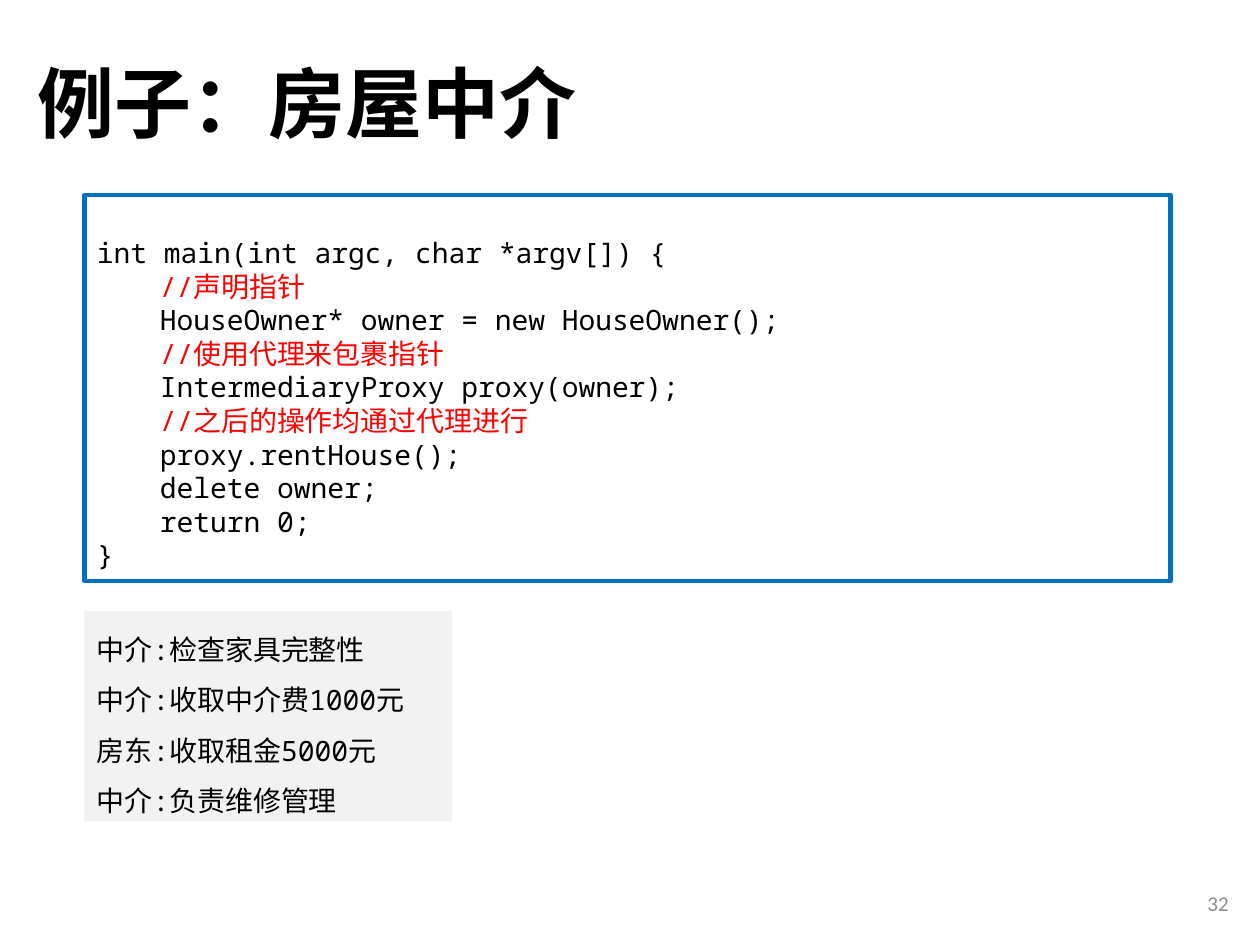
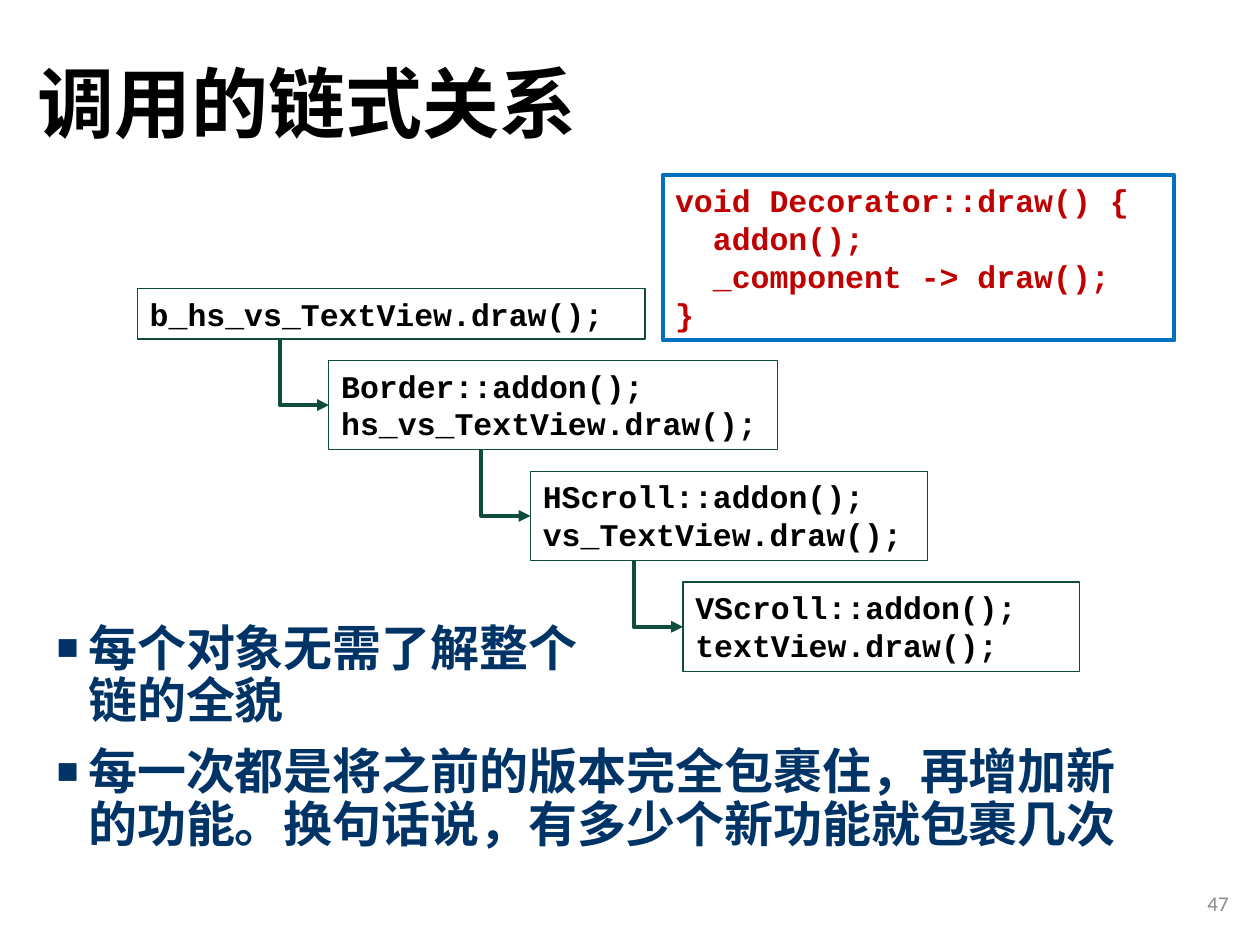
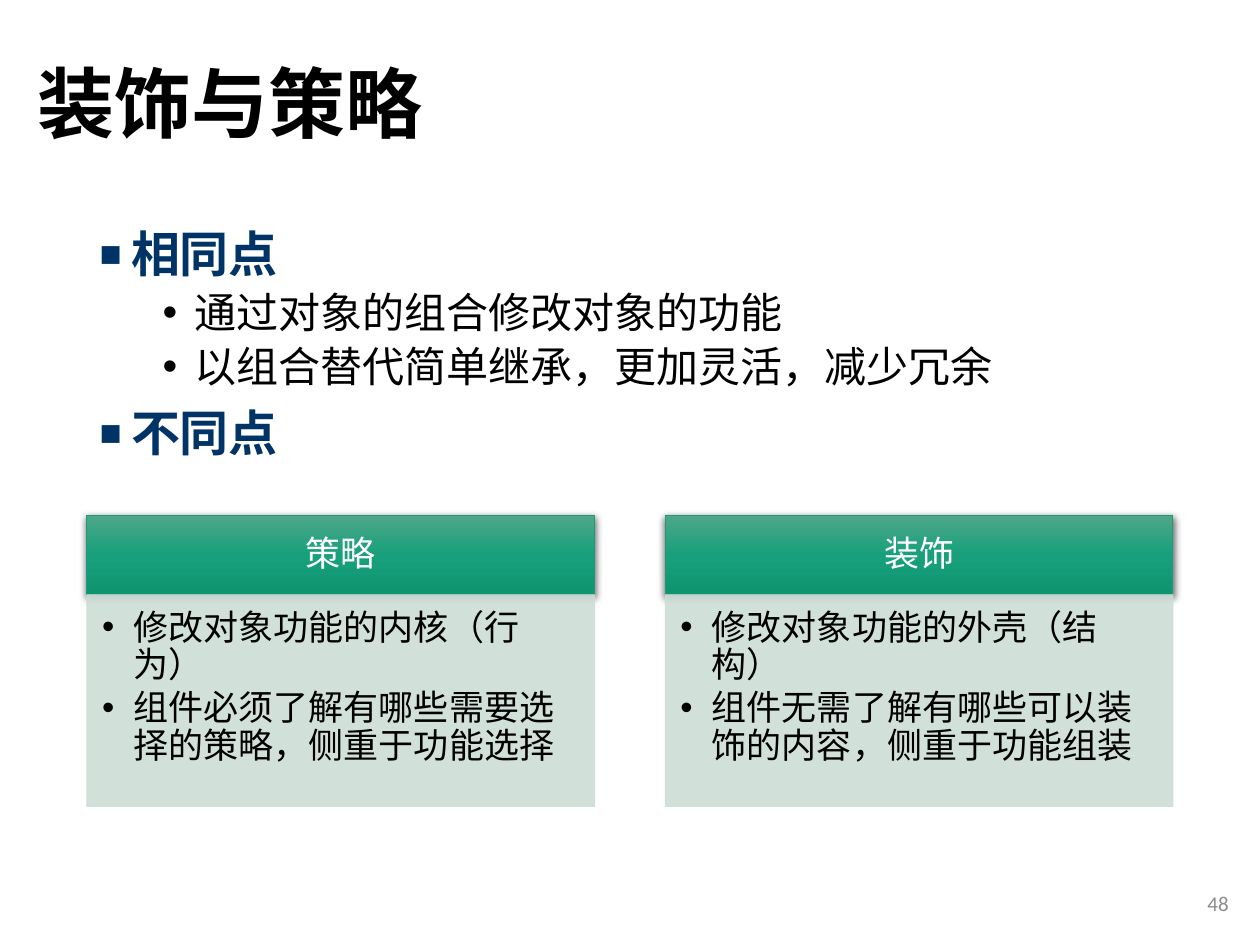
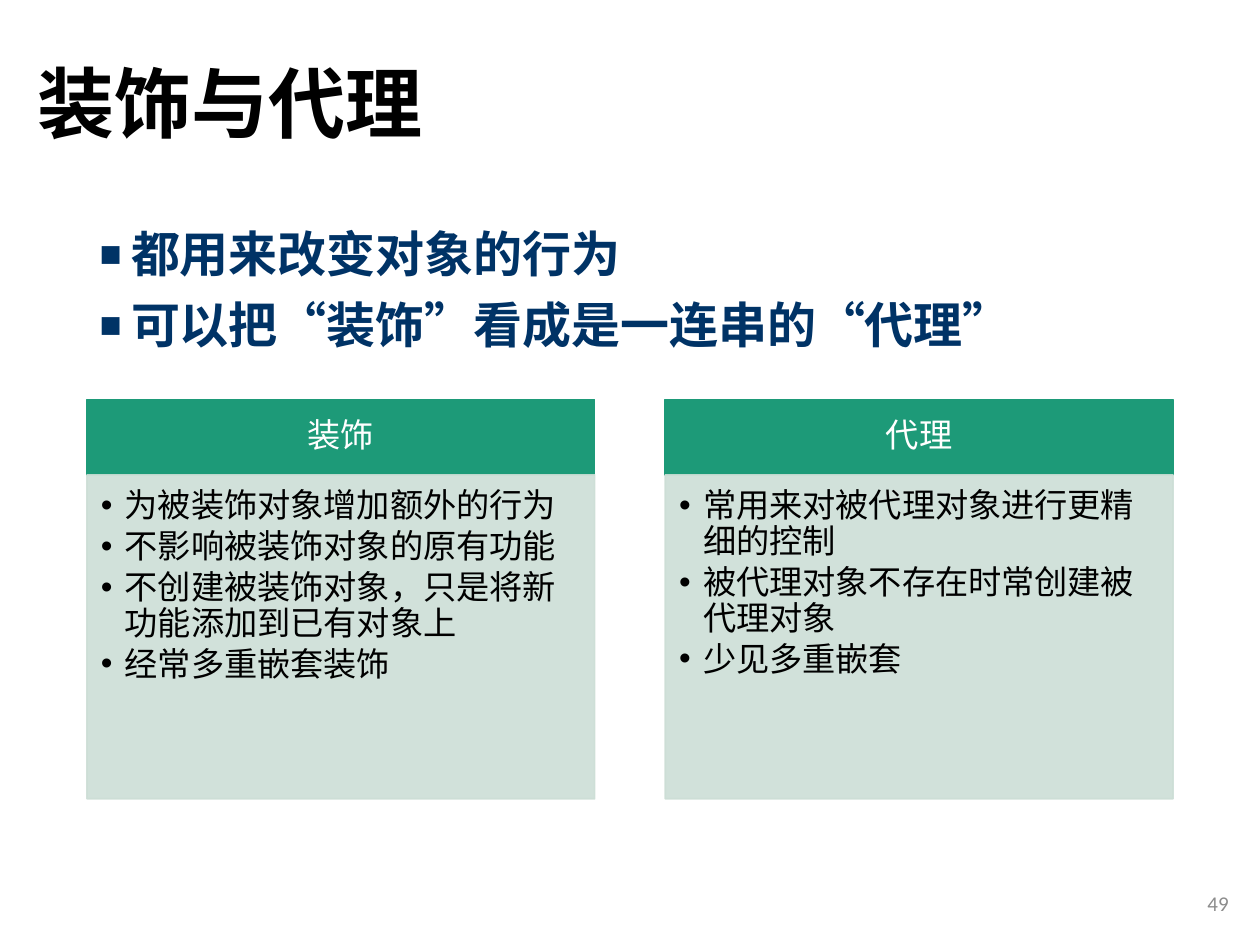
from lxml import etree
from pptx import Presentation
from pptx.dml.color import RGBColor
from pptx.enum.shapes import MSO_CONNECTOR, MSO_SHAPE
from pptx.enum.text import MSO_ANCHOR, MSO_AUTO_SIZE, PP_ALIGN
from pptx.oxml import parse_xml
from pptx.oxml.ns import nsdecls, qn
from pptx.util import Inches, Pt

BLACK = RGBColor(0x00, 0x00, 0x00)
WHITE = RGBColor(0xFF, 0xFF, 0xFF)
NAVY = RGBColor(0x00, 0x33, 0x66)
BLUE = RGBColor(0x00, 0x70, 0xC0)
RED = RGBColor(0xFF, 0x00, 0x00)
DARK_RED = RGBColor(0xC0, 0x00, 0x00)
GREY = RGBColor(0x8C, 0x8C, 0x8C)
PALE_GREY = RGBColor(0xF2, 0xF2, 0xF2)
DARK_GREEN = RGBColor(0x0E, 0x4D, 0x3C)
GREEN = RGBColor(0x1D, 0x9A, 0x78)
PALE_GREEN = RGBColor(0xCD, 0xDE, 0xD6)
GLOSS = (
    (0, RGBColor(0x4E, 0xA7, 0x88)),
    (50, RGBColor(0x17, 0xA0, 0x7B)),
    (100, RGBColor(0x0F, 0x94, 0x70)),
)

CJK = "Noto Sans CJK SC"
MONO = "Noto Sans Mono"
COURIER = "Courier New"
CALIBRI = "Calibri"

LEFT, CENTER, RIGHT = PP_ALIGN.LEFT, PP_ALIGN.CENTER, PP_ALIGN.RIGHT
TOP, MIDDLE = MSO_ANCHOR.TOP, MSO_ANCHOR.MIDDLE
NO_AUTOFIT = MSO_AUTO_SIZE.NONE
RECTANGLE = MSO_SHAPE.RECTANGLE
ELBOW = MSO_CONNECTOR.ELBOW

TITLE_ONLY, TITLE_AND_BODY = 5, 1
BODY_AREA = (0.69, 1.78, 8.8, 5.19)
COLUMN_LEFTS = (0.69, 5.28)
COLUMN_WIDTH = 4.03


class Deck:
    def __init__(self):
        self.presentation = Presentation()
        self.presentation.slide_width = Inches(10)
        self.presentation.slide_height = Inches(7.5)
        self.slide = None

    def start(self, layout, title, number):
        layouts = self.presentation.slide_layouts
        self.slide = self.presentation.slides.add_slide(layouts[layout])
        heading = self.slide.shapes.title
        self.place(heading, 0.2, 0.13, 8.62, 1.45)
        self.set_text(heading.text_frame, [title], CJK, 44, BLACK, bold=True,
                      anchor=MIDDLE, line_spacing=0.9)
        footer = self.slide.shapes.add_textbox(
            Inches(7.6), Inches(6.97), Inches(2.25), Inches(0.4))
        self.set_text(footer.text_frame, [str(number)], CALIBRI, 12, GREY,
                      align=RIGHT, anchor=MIDDLE)

    def place(self, shape, left, top, width, height):
        shape.left, shape.top = Inches(left), Inches(top)
        shape.width, shape.height = Inches(width), Inches(height)

    def style(self, paragraph, font, size, color, bold=False):
        for run in paragraph.runs:
            run.font.name = font
            run.font.size = Pt(size)
            run.font.bold = bold
            run.font.color.rgb = color
            properties = run._r.get_or_add_rPr()
            if properties.find(qn("a:ea")) is None:
                etree.SubElement(properties, qn("a:ea"), typeface=CJK)

    def set_text(self, frame, lines, font, size, color, bold=False,
                 align=LEFT, anchor=TOP, line_spacing=1.0, space_after=0,
                 insets=None):
        frame.text = "\n".join(lines)
        frame.word_wrap = True
        frame.auto_size = NO_AUTOFIT
        frame.vertical_anchor = anchor
        if insets:
            (frame.margin_left, frame.margin_top,
             frame.margin_right, frame.margin_bottom) = map(Inches, insets)
        for paragraph in frame.paragraphs:
            paragraph.alignment = align
            paragraph.line_spacing = line_spacing
            paragraph.space_before = Pt(0)
            paragraph.space_after = Pt(space_after)
            self.style(paragraph, font, size, color, bold)

    def indent(self, paragraph, margin, first=0):
        properties = paragraph._p.get_or_add_pPr()
        properties.set("marL", str(Inches(margin)))
        properties.set("indent", str(Inches(first)))
        return properties

    def bullet(self, paragraph, char, margin, hang, percent=100):
        properties = self.indent(paragraph, margin, -hang)
        etree.SubElement(properties, qn("a:buSzPct"), val=str(percent * 1000))
        etree.SubElement(properties, qn("a:buFont"), typeface="Arial")
        etree.SubElement(properties, qn("a:buChar"), char=char)

    def points(self, area, items):
        body = self.slide.placeholders[1]
        self.place(body, *area)
        self.set_text(body.text_frame, [text for text, _ in items], MONO, 28,
                      NAVY, bold=True, line_spacing=0.9)
        for paragraph, (_, level) in zip(body.text_frame.paragraphs, items):
            paragraph.level = level
            paragraph.space_before = Pt(5 if level else 10)
            if level:
                self.style(paragraph, MONO, 24, BLACK)
                self.bullet(paragraph, "•", 0.75, 0.25)
            else:
                self.bullet(paragraph, "■", 0.25, 0.25, percent=75)

    def box(self, area, fill=None, line=None, weight=0.75):
        shape = self.slide.shapes.add_shape(RECTANGLE, *map(Inches, area))
        shape.shadow.inherit = False
        if fill is None:
            shape.fill.background()
        else:
            shape.fill.solid()
            shape.fill.fore_color.rgb = fill
        if line is None:
            shape.line.fill.background()
        else:
            shape.line.color.rgb = line
            shape.line.width = Pt(weight)
        return shape

    def code(self, area, lines, font, size, color, line, weight,
             bold=False, block_indent=0, top_inset=0.05):
        frame = self.box(area, line=line, weight=weight).text_frame
        self.set_text(frame, lines, font, size, color, bold,
                      insets=(0.1, top_inset, 0.1, 0.05))
        for paragraph in frame.paragraphs[1:-1]:
            self.indent(paragraph, block_indent)
            if paragraph.text.startswith("//"):
                self.style(paragraph, font, size, RED)

    def call_arrow(self, start_x, start_y, end_x, end_y):
        run, drop = end_x - start_x, end_y - start_y
        left = (start_x + end_x - drop) / 2
        top = (start_y + end_y - run) / 2
        arrow = self.slide.shapes.add_connector(
            ELBOW, Inches(left), Inches(top),
            Inches(left + drop), Inches(top + run))
        arrow.line.color.rgb = DARK_GREEN
        arrow.line.width = Pt(2.25)
        properties = arrow._element.spPr
        frame = properties.find(qn("a:xfrm"))
        frame.set("rot", str(270 * 60000))
        frame.set("flipH", "1")
        properties.find(qn("a:prstGeom")).set("prst", "bentConnector2")
        etree.SubElement(properties.find(qn("a:ln")), qn("a:tailEnd"),
                         type="triangle")
        etree.SubElement(properties, qn("a:effectLst"))

    def gloss(self, shape):
        stops = "".join(
            f'<a:gs pos="{position * 1000}"><a:srgbClr val="{color}"/></a:gs>'
            for position, color in GLOSS)
        gradient = parse_xml(
            f'<a:gradFill {nsdecls("a")} rotWithShape="1"><a:gsLst>{stops}'
            f'</a:gsLst><a:lin ang="{90 * 60000}" scaled="0"/></a:gradFill>')
        shadow = parse_xml(
            f'<a:outerShdw {nsdecls("a")} blurRad="{Pt(4.5)}" '
            f'dist="{Pt(1.5)}" dir="{90 * 60000}" algn="ctr" '
            f'rotWithShape="0"><a:srgbClr val="{BLACK}">'
            f'<a:alpha val="63000"/></a:srgbClr></a:outerShdw>')
        properties = shape._element.spPr
        properties.replace(properties.find(qn("a:solidFill")), gradient)
        properties.find(qn("a:effectLst")).append(shadow)

    def comparison(self, columns, top, header_height, list_height, size,
                   weight, hang, header_insets, list_insets, glossy=False):
        for left, (heading, items) in zip(COLUMN_LEFTS, columns):
            header = self.box((left, top, COLUMN_WIDTH, header_height),
                              GREEN, GREEN, weight)
            if glossy:
                self.gloss(header)
            self.set_text(header.text_frame, [heading], CJK, size, WHITE,
                          align=CENTER, anchor=MIDDLE, line_spacing=0.9,
                          space_after=0.35 * size, insets=header_insets)
            panel = self.box(
                (left, top + header_height, COLUMN_WIDTH, list_height),
                PALE_GREEN, PALE_GREEN, weight)
            for color in panel._element.spPr.iter(qn("a:srgbClr")):
                etree.SubElement(color, qn("a:alpha"), val="90000")
            self.set_text(panel.text_frame, items, CJK, size, BLACK,
                          line_spacing=0.9, space_after=0.15 * size,
                          insets=list_insets)
            for paragraph in panel.text_frame.paragraphs:
                paragraph.level = 1
                self.bullet(paragraph, "•", hang, hang)


def house_agent(deck):
    deck.start(TITLE_ONLY, "例子：房屋中介", 32)
    program = [
        "int main(int argc, char *argv[]) {",
        "//声明指针",
        "HouseOwner* owner = new HouseOwner();",
        "//使用代理来包裹指针",
        "IntermediaryProxy proxy(owner);",
        "//之后的操作均通过代理进行",
        "proxy.rentHouse();",
        "delete owner;",
        "return 0;",
        "}",
    ]
    deck.code((0.67, 1.55, 8.62, 3.06), program, MONO, 16, BLACK, BLUE, 2.5,
              block_indent=0.5, top_inset=0.32)
    output = deck.box((0.67, 4.85, 2.92, 1.67), fill=PALE_GREY)
    deck.set_text(output.text_frame, [
        "中介:检查家具完整性",
        "中介:收取中介费1000元",
        "房东:收取租金5000元",
        "中介:负责维修管理",
    ], MONO, 16, BLACK, anchor=MIDDLE, line_spacing=1.5)


def call_chain(deck):
    deck.start(TITLE_AND_BODY, "调用的链式关系", 47)
    deck.points((0.35, 4.9, 8.62, 1.86), [
        ("每个对象无需了解整个\v链的全貌", 0),
        ("每一次都是将之前的版本完全包裹住，再增加新的功能。"
         "换句话说，有多少个新功能就包裹几次", 0),
    ])
    deck.code((5.26, 1.39, 4.06, 1.31), [
        "void Decorator::draw() {",
        "addon();",
        "_component -> draw();",
        "}",
    ], COURIER, 18, DARK_RED, BLUE, 2.5, bold=True, block_indent=0.3)
    calls = [
        ((1.09, 2.29, 4.03, 0.4), ["b_hs_vs_TextView.draw();"]),
        ((2.61, 2.86, 3.56, 0.71),
         ["Border::addon();", "hs_vs_TextView.draw();"]),
        ((4.21, 3.74, 3.15, 0.71),
         ["HScroll::addon();", "vs_TextView.draw();"]),
        ((5.42, 4.62, 3.15, 0.71),
         ["VScroll::addon();", "textView.draw();"]),
    ]
    for area, lines in calls:
        deck.code(area, lines, COURIER, 18, BLACK, DARK_GREEN, 0.75,
                  bold=True)
    for (caller, _), (callee, _) in zip(calls, calls[1:]):
        left, top, _, height = callee
        deck.call_arrow(left - 0.39, caller[1] + caller[3],
                        left, top + height / 2)


def decorator_and_strategy(deck):
    deck.start(TITLE_AND_BODY, "装饰与策略", 48)
    deck.points(BODY_AREA, [
        ("相同点", 0),
        ("通过对象的组合修改对象的功能", 1),
        ("以组合替代简单继承，更加灵活，减少冗余", 1),
        ("不同点", 0),
    ])
    deck.comparison([
        ("策略", ["修改对象功能的内核（行为）",
                "组件必须了解有哪些需要选择的策略，侧重于功能选择"]),
        ("装饰", ["修改对象功能的外壳（结构）",
                "组件无需了解有哪些可以装饰的内容，侧重于功能组装"]),
    ], top=4.09, header_height=0.63, list_height=1.68, size=20, weight=0.5,
        hang=0.25, header_insets=(0.16, 0.09, 0.16, 0.09),
        list_insets=(0.12, 0.12, 0.16, 0.17), glossy=True)


def decorator_and_proxy(deck):
    deck.start(TITLE_AND_BODY, "装饰与代理", 49)
    deck.points(BODY_AREA, [
        ("都用来改变对象的行为", 0),
        ("可以把“装饰”看成是一连串的“代理”", 0),
    ])
    deck.comparison([
        ("装饰", ["为被装饰对象增加额外的行为",
                "不影响被装饰对象的原有功能",
                "不创建被装饰对象，只是将新功能添加到已有对象上",
                "经常多重嵌套装饰"]),
        ("代理", ["常用来对被代理对象进行更精细的控制",
                "被代理对象不存在时常创建被代理对象",
                "少见多重嵌套"]),
    ], top=3.17, header_height=0.6, list_height=2.57, size=19, weight=1,
        hang=0.19, header_insets=(0.15, 0.08, 0.15, 0.08),
        list_insets=(0.11, 0.11, 0.15, 0.17))


def main():
    deck = Deck()
    house_agent(deck)
    call_chain(deck)
    decorator_and_strategy(deck)
    decorator_and_proxy(deck)
    deck.presentation.save("out.pptx")


if __name__ == "__main__":
    main()
